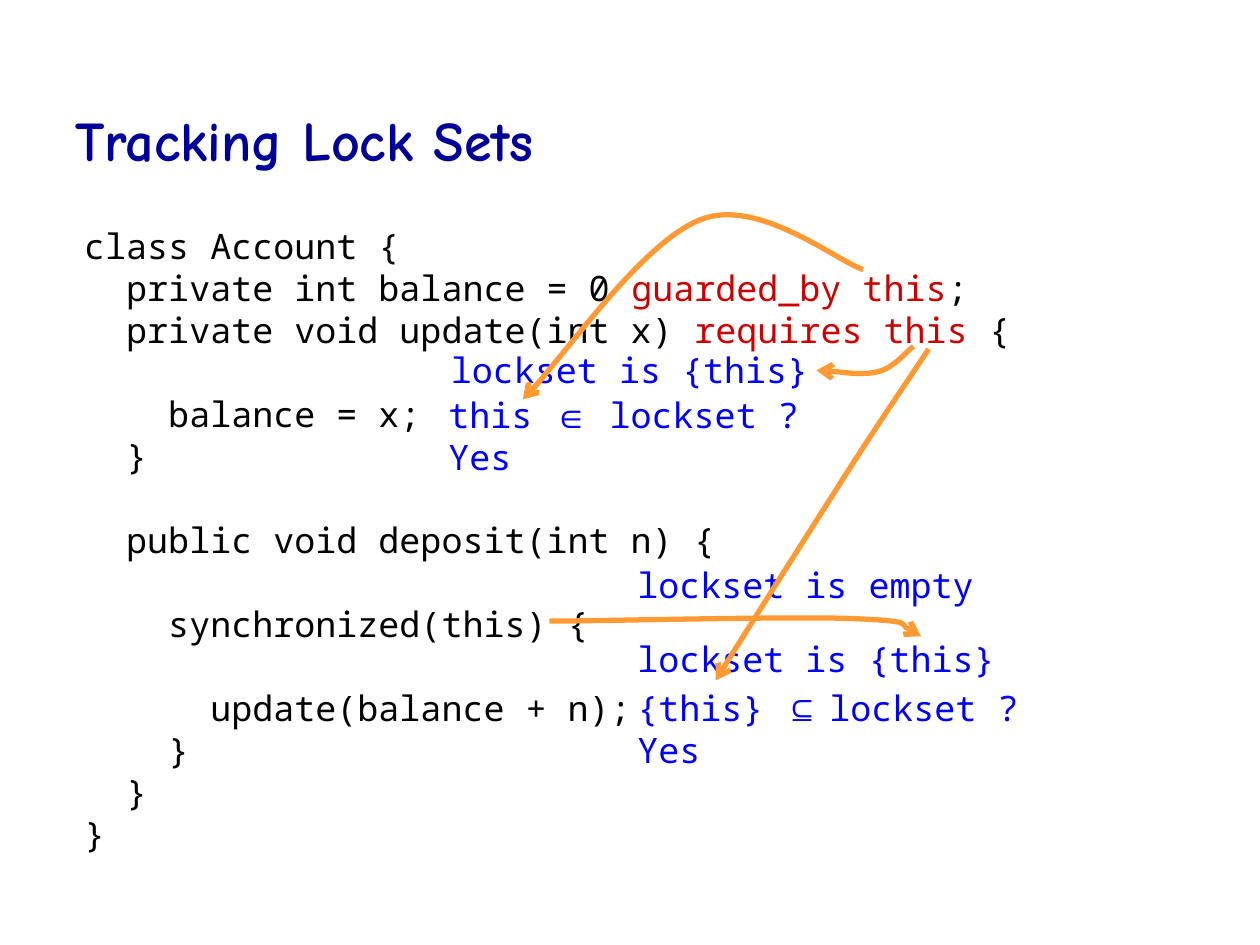
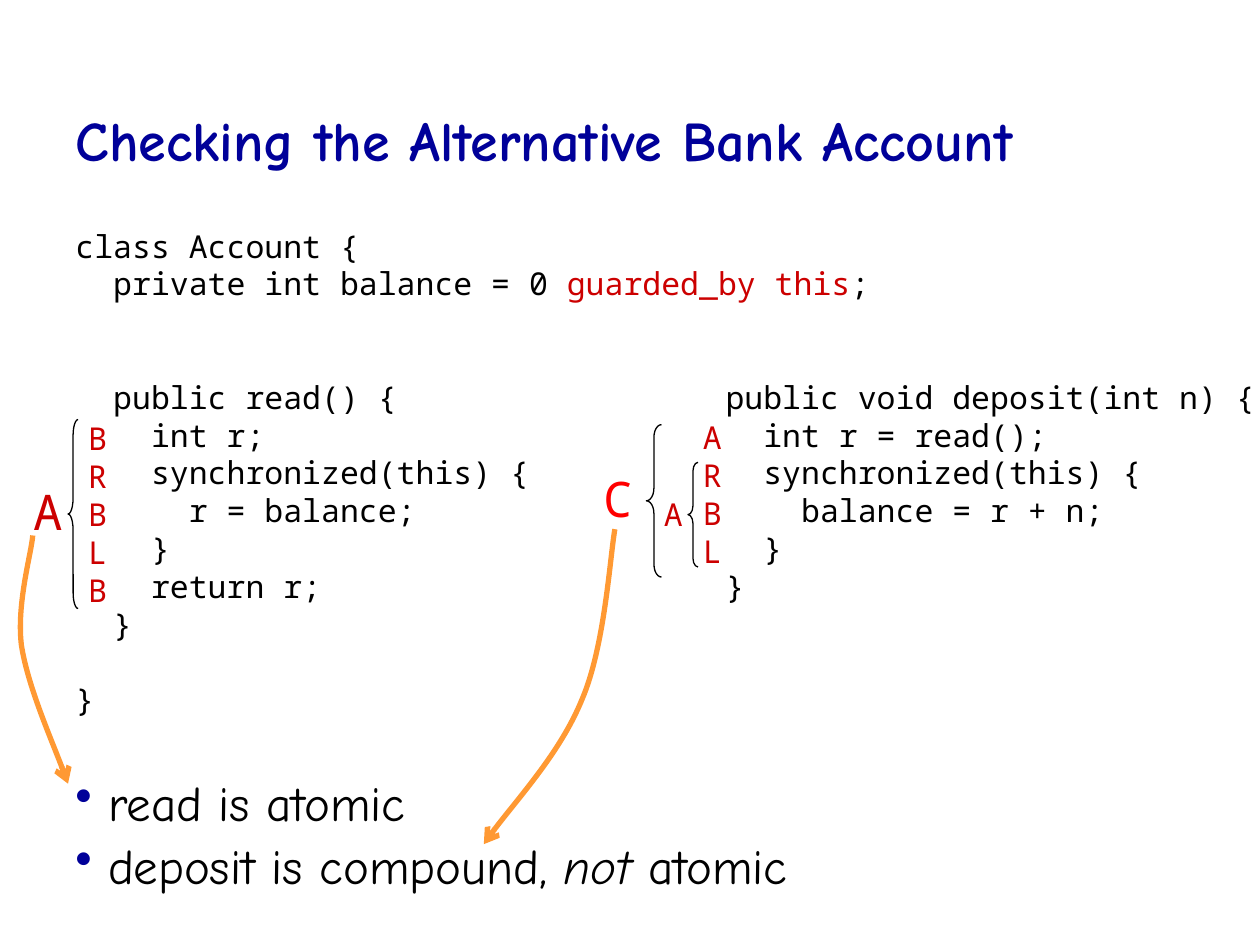
from dataclasses import dataclass

from pptx import Presentation
from pptx.dml.color import RGBColor
from pptx.enum.shapes import MSO_SHAPE
from pptx.enum.text import MSO_ANCHOR, MSO_AUTO_SIZE
from pptx.oxml.ns import qn
from pptx.util import Inches, Pt
from lxml.etree import SubElement


@dataclass(frozen=True)
class Theme:
    navy: str = "000099"
    black: str = "000000"
    annotation: str = "CC0000"
    compound: str = "FF0000"
    lockset: str = "0000FF"
    arrow: str = "FF9933"
    title_font: str = "Comic Neue"
    code_font: str = "Noto Sans Mono"
    symbol_font: str = "Arial"
    title_size: int = 32
    large_size: int = 28
    code_size: int = 20
    small_code_size: int = 18
    arrow_width: float = 3
    brace_width: float = 0.75
    code_leading: float = 1.2


THEME = Theme()
RED = {"color": THEME.annotation}
SYMBOL = {"name": THEME.symbol_font, "bold": True}
GUARDED_FIELD = [("  private int balance = 0 ", {}), ("guarded_by this", RED), (";", {})]


class SlideWriter:
    """Holds the theme and the slide being drawn."""

    def __init__(self, deck, theme):
        self.deck = deck
        self.theme = theme
        self.slide = None

    def new_slide(self, title):
        self.slide = self.deck.slides.add_slide(self.deck.slide_layouts[6])
        box = self.text_box(0.5, 0.17, 9.5, 1.25)
        box.text_frame.vertical_anchor = MSO_ANCHOR.BOTTOM
        self.spans(box.text_frame.paragraphs[0], title,
                   {"name": self.theme.title_font, "size": Pt(self.theme.title_size),
                    "bold": True, "color": self.theme.navy})

    def text_box(self, left, top, width, height):
        box = self.slide.shapes.add_textbox(
            Inches(left), Inches(top), Inches(width), Inches(height))
        box.text_frame.word_wrap = True
        return box

    def spans(self, para, content, base):
        """Write a string, or (text, format changes) pairs, into a paragraph."""
        for text, changes in [(content, {})] if isinstance(content, str) else content:
            span = para.add_run()
            span.text = text
            for key, value in {**base, **changes}.items():
                if key == "color":
                    span.font.color.rgb = RGBColor.from_string(value)
                else:
                    setattr(span.font, key, value)

    def code(self, left, top, width, lines, size, color=THEME.black):
        """Set code lines; an empty line becomes space before the next one."""
        leading = size * self.theme.code_leading
        box = self.text_box(left, top, width, len(lines) * leading / 72 + 0.1)
        frame = box.text_frame
        frame.word_wrap = False
        frame.auto_size = MSO_AUTO_SIZE.SHAPE_TO_FIT_TEXT
        base = {"name": self.theme.code_font, "size": Pt(size), "color": color}
        para, skipped = frame.paragraphs[0], 0
        for number, line in enumerate(lines):
            if not line:
                skipped += 1
                continue
            if number:
                para = frame.add_paragraph()
            para.line_spacing = Pt(leading)
            para.space_before = Pt(skipped * leading)
            self.spans(para, line, base)
            skipped = 0

    def bullet(self, top, content):
        box = self.text_box(0.5, top, 9, 0.67)
        para = box.text_frame.paragraphs[0]
        properties = para._p.get_or_add_pPr()
        properties.set("marL", str(Inches(0.26)))
        properties.set("indent", str(Inches(-0.26)))
        bullet_color = SubElement(properties, qn("a:buClr"))
        SubElement(bullet_color, qn("a:srgbClr"), val=self.theme.navy)
        SubElement(properties, qn("a:buChar"), char="•")
        self.spans(para, content,
                   {"name": self.theme.title_font, "size": Pt(self.theme.large_size),
                    "color": self.theme.black})

    def outline(self, shape, color, width):
        shape.shadow.inherit = False
        shape.fill.background()
        shape.line.color.rgb = RGBColor.from_string(color)
        shape.line.width = Pt(width)

    def brace(self, left, top, width, height):
        shape = self.slide.shapes.add_shape(
            MSO_SHAPE.LEFT_BRACE, Inches(left), Inches(top), Inches(width), Inches(height))
        shape.adjustments[0] = height / 12 / width
        self.outline(shape, self.theme.black, self.theme.brace_width)

    def curved_arrow(self, *points):
        """Draw Bézier curves: a start, then two controls and an end for each."""
        start, *rest = [(Inches(x), Inches(y)) for x, y in points]
        builder = self.slide.shapes.build_freeform(*start)
        builder.add_line_segments(rest, close=False)
        shape = builder.convert_to_shape()
        segments = list(shape.element.iter(qn("a:lnTo")))
        for curve, control, end in zip(*[iter(segments)] * 3):
            curve.tag = qn("a:cubicBezTo")
            for segment in (control, end):
                curve.append(segment[0])
                segment.getparent().remove(segment)
        self.outline(shape, self.theme.arrow, self.theme.arrow_width)
        line = shape.element.find(".//" + qn("a:ln"))
        SubElement(line, qn("a:tailEnd"), type="arrow")


def draw_lock_sets(writer):
    size, blue = THEME.code_size, THEME.lockset
    writer.new_slide("Tracking Lock Sets")
    writer.code(0.57, 1.73, 7.57, [
        "class Account {",
        GUARDED_FIELD,
        [("  private void update(int x) ", {}), ("requires this ", RED), ("{", {})],
        "",
        "    balance = x;",
        "  }",
        "",
        "  public void deposit(int n) {",
        "",
        "    synchronized(this) {",
        "",
        "      update(balance + n);",
        "    }",
        "  }",
        "}",
    ], size)

    member_check = [("this ", {}), ("∈", SYMBOL), (" lockset ?", {})]
    subset_check = [("{this} ", {}), ("⊆ ", SYMBOL), ("lockset ?", {})]
    for left, top, width, lines in (
        (4.96, 4.42, 2.88, ["lockset is empty"]),
        (4.96, 5.01, 3.05, ["lockset is {this}"]),
        (3.48, 2.72, 3.21, ["lockset is {this}"]),
        (3.46, 3.07, 3.58, [member_check, "Yes"]),
        (4.96, 5.4, 3.94, [subset_check, "Yes"]),
    ):
        writer.code(left, top, width, lines, size, blue)

    writer.curved_arrow((7.25, 2.75), (7.2, 2.78), (7.1, 2.92), (6.97, 2.95),
                        (6.84, 2.98), (6.58, 2.94), (6.48, 2.94))
    writer.curved_arrow((6.85, 2.14), (6.64, 2.07), (6.02, 1.57), (5.57, 1.74),
                        (5.12, 1.91), (4.45, 2.87), (4.15, 3.17))
    writer.curved_arrow((4.36, 4.93), (4.76, 4.93), (6.28, 4.89), (6.77, 4.91),
                        (7.26, 4.93), (7.2, 5.02), (7.31, 5.05))
    writer.curved_arrow((7.37, 2.77), (7.26, 2.94), (6.99, 3.33), (6.71, 3.77),
                        (6.43, 4.21), (5.89, 5.06), (5.68, 5.4))


def draw_atomicity_check(writer):
    size, large, red = THEME.small_code_size, THEME.large_size, THEME.annotation
    writer.new_slide("Checking the Alternative Bank Account")
    writer.code(0.5, 1.75, 6.55, [
        "class Account {",
        GUARDED_FIELD,
        "",
        "",
        "  public read() {",
        "    int r;",
        "    synchronized(this) {",
        "      r = balance;",
        "    }",
        "    return r;",
        "  }",
        "",
        "}",
    ], size)
    writer.code(5.36, 2.95, 4.71, [
        "  public void deposit(int n) {",
        "    int r = read();",
        "    synchronized(this) {",
        "      balance = r + n;",
        "    }",
        "  }",
    ], size)

    writer.code(0.6, 3.28, 0.35, list("BRBLB"), size, red)
    writer.code(5.48, 3.27, 0.35, list("ARBL"), size, red)
    writer.code(0.17, 3.77, 0.43, ["A"], large, red)
    writer.code(5.17, 3.88, 0.35, ["A"], size, red)
    writer.code(4.69, 3.67, 0.43, ["C"], large, THEME.compound)
    writer.brace(0.54, 3.33, 0.08, 1.5)
    writer.brace(5.46, 3.67, 0.08, 0.83)
    writer.brace(5.13, 3.37, 0.12, 1.21)

    writer.bullet(6.08, "read is atomic")
    writer.bullet(6.58, [("deposit is compound, ", {}), ("not", {"italic": True}),
                         (" atomic", {})])
    writer.curved_arrow((0.26, 4.25), (0.25, 4.39), (0.13, 4.79), (0.17, 5.12),
                        (0.22, 5.44), (0.46, 5.99), (0.54, 6.22))
    writer.curved_arrow((4.88, 4.2), (4.84, 4.43), (4.8, 5.13), (4.62, 5.55),
                        (4.45, 5.97), (4, 6.46), (3.84, 6.7))


def main():
    deck = Presentation()
    deck.slide_width, deck.slide_height = Inches(10), Inches(7.5)
    writer = SlideWriter(deck, THEME)
    draw_lock_sets(writer)
    draw_atomicity_check(writer)
    deck.save("out.pptx")


if __name__ == "__main__":
    main()
